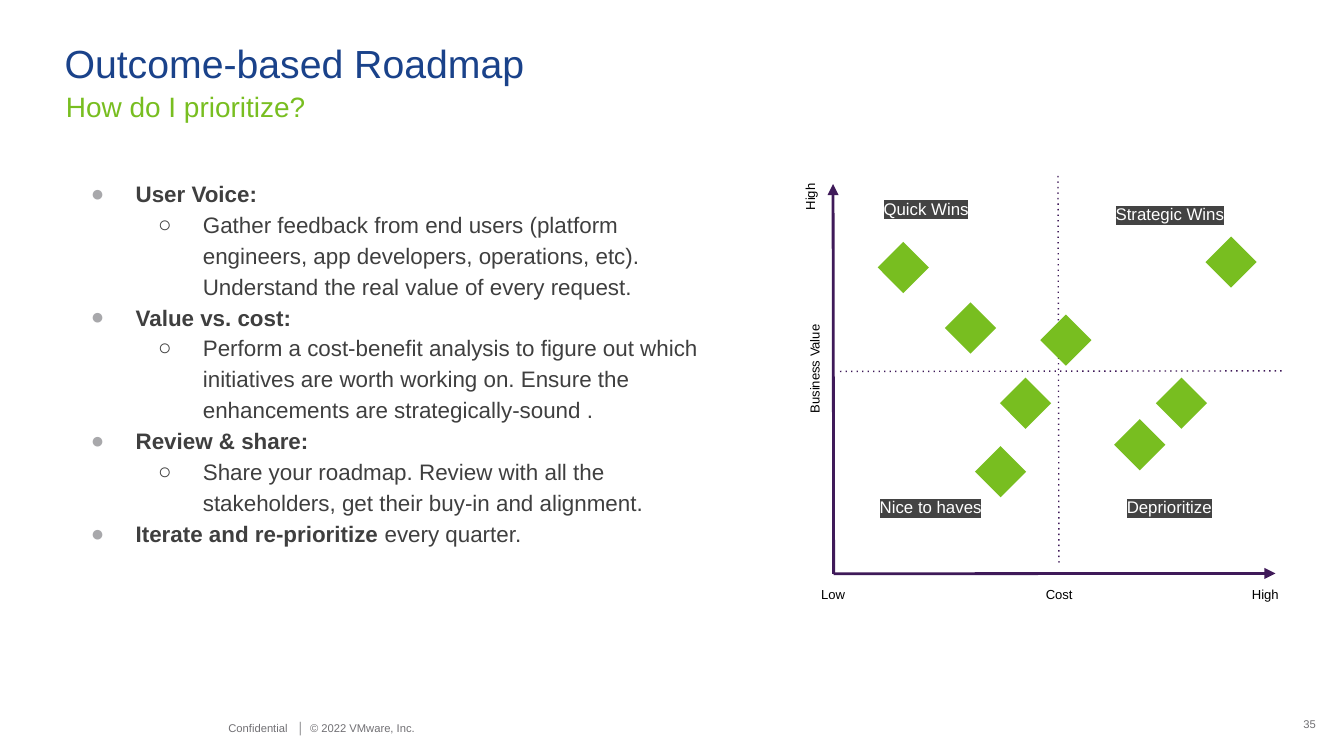
from dataclasses import dataclass

from lxml.etree import SubElement
from pptx import Presentation
from pptx.dml.color import RGBColor
from pptx.enum.shapes import MSO_CONNECTOR, MSO_SHAPE
from pptx.enum.text import MSO_ANCHOR, MSO_AUTO_SIZE, PP_ALIGN
from pptx.oxml.ns import qn
from pptx.util import Pt


@dataclass(frozen=True)
class Theme:
    """Fonts, colours and type sizes."""
    font: str = "Arial"
    blue: str = "1A428A"
    green: str = "78BE20"
    purple: str = "3F1A59"
    text: str = "3F3F3F"
    bullet: str = "A8A8AB"
    footer: str = "717074"
    tag: str = "434343"
    black: str = "000000"
    white: str = "FFFFFF"
    title_size: float = 21
    subtitle_size: float = 15
    body_size: float = 12
    tag_size: float = 9
    axis_size: float = 7
    footer_size: float = 6


THEME = Theme()

OUTLINE = [
    ("User Voice:", "",
     "Gather feedback from end users (platform engineers, app developers, operations, etc). "
     "Understand the real value of every request."),
    ("Value vs. cost:", "",
     "Perform a cost-benefit analysis to figure out which initiatives are worth working on. "
     "Ensure the enhancements are strategically-sound ."),
    ("Review & share:", "",
     "Share your roadmap. Review with all the stakeholders, get their buy-in and alignment."),
    ("Iterate and re-prioritize", " every quarter.", ""),
]

DIAMONDS = [(470.2, 129.6), (506.2, 162), (557.3, 168.5), (535.7, 202.3),
            (522.3, 239), (596.9, 224.6), (619.2, 202.3), (645.8, 126.7)]

AXIS_LABELS = [("High", 660.2, 307.4, 35.3, 21.6, 0),
               ("Low", 429.8, 307.4, 33.1, 21.6, 0),
               ("Cost", 517, 307.4, 100.8, 21.6, 0),
               ("High", 416.2, 95.8, 35.3, 19.4, 270),
               ("Business Value", 398.9, 187.9, 74.9, 19.4, 270)]

QUADRANTS = [("Quick Wins", 470.2, 102.2, 51.8), ("Strategic Wins", 591.8, 105.1, 69.8),
             ("Deprioritize", 600.5, 262.1, 51.8), ("Nice to haves", 463.7, 262.1, 69.8)]


def add_run(p, text, size, color, bold=False, highlight=None):
    """Append formatted text to a paragraph."""
    r = p.add_run()
    r.text = text
    r.font.size = Pt(size)
    r.font.bold = bold
    r.font.color.rgb = RGBColor.from_string(color)
    if highlight:
        mark = SubElement(r.font._element, qn("a:highlight"))
        SubElement(mark, qn("a:srgbClr"), val=highlight)
    r.font.name = THEME.font
    return r


class Deck:
    """Holds the theme and the current slide and adds elements to it."""

    def __init__(self, prs, theme):
        """Start a title-only slide."""
        self.theme = theme
        self.s = prs.slides.add_slide(prs.slide_layouts[5])

    def frame(self, sp, anchor, inset):
        """Set up a text frame and return it."""
        tf = sp.text_frame
        tf.word_wrap = True
        tf.auto_size = MSO_AUTO_SIZE.NONE
        tf.vertical_anchor = anchor
        tf.margin_left = tf.margin_right = Pt(inset[0])
        tf.margin_top = tf.margin_bottom = Pt(inset[1])
        return tf

    def title(self, text, x, y, w, h):
        """Fill and place the title placeholder."""
        sp = self.s.shapes.title
        sp.left, sp.top, sp.width, sp.height = Pt(x), Pt(y), Pt(w), Pt(h)
        p = self.frame(sp, MSO_ANCHOR.BOTTOM, (0, 0)).paragraphs[0]
        p.alignment = PP_ALIGN.LEFT
        p.line_spacing = 0.9
        add_run(p, text, self.theme.title_size, self.theme.blue)

    def box(self, x, y, w, h, anchor=MSO_ANCHOR.MIDDLE, inset=(0, 0), rotation=0):
        """Add an empty text box and return its frame."""
        sp = self.s.shapes.add_textbox(Pt(x), Pt(y), Pt(w), Pt(h))
        sp.rotation = rotation
        return self.frame(sp, anchor, inset)

    def label(self, text, x, y, w, h, size, color, align=PP_ALIGN.LEFT,
              highlight=None, tabs=(), **kwargs):
        """Add a one-paragraph text box."""
        p = self.box(x, y, w, h, **kwargs).paragraphs[0]
        p.alignment = align
        if tabs:
            stops = SubElement(p._p.get_or_add_pPr(), qn("a:tabLst"))
            for stop in tabs:
                SubElement(stops, qn("a:tab"), pos=str(Pt(stop)), algn="l")
        add_run(p, text, size, color, highlight=highlight)

    def bullet(self, p, level, char, color):
        """Give a paragraph its bullet, indent and line spacing."""
        p.level = level
        p.line_spacing = 1.15
        pPr = p._p.get_or_add_pPr()
        pPr.set("marL", str(Pt(36 * (level + 1))))
        pPr.set("indent", str(Pt(-24)))
        SubElement(SubElement(pPr, qn("a:buClr")), qn("a:srgbClr"), val=color)
        SubElement(pPr, qn("a:buFont"), typeface=self.theme.font)
        SubElement(pPr, qn("a:buChar"), char=char)

    def outline(self, items, x, y, w, h):
        """Add a two-level bulleted list."""
        t = self.theme
        tf = self.box(x, y, w, h, anchor=MSO_ANCHOR.TOP)
        for i, (head, rest, detail) in enumerate(items):
            p = tf.add_paragraph() if i else tf.paragraphs[0]
            self.bullet(p, 0, "●", t.bullet)
            add_run(p, head, t.body_size, t.text, bold=True)
            if rest:
                add_run(p, rest, t.body_size, t.text)
            if detail:
                p = tf.add_paragraph()
                self.bullet(p, 1, "○", t.text)
                add_run(p, detail, t.body_size, t.text)

    def line(self, x1, y1, x2, y2, width, dotted=False, arrow=False):
        """Add a straight line, dotted or with an arrowhead at its end."""
        cx = self.s.shapes.add_connector(MSO_CONNECTOR.STRAIGHT, Pt(x1), Pt(y1), Pt(x2), Pt(y2))
        cx.line.width = Pt(width)
        cx.line.color.rgb = RGBColor.from_string(self.theme.purple)
        ln = cx.line._get_or_add_ln()
        if dotted:
            SubElement(ln, qn("a:prstDash"), val="dot")
        if arrow:
            SubElement(ln, qn("a:tailEnd"), type="triangle")
        SubElement(cx._element.spPr, qn("a:effectLst"))

    def diamond(self, x, y, size):
        """Add a filled diamond."""
        sp = self.s.shapes.add_shape(MSO_SHAPE.DIAMOND, Pt(x), Pt(y), Pt(size), Pt(size))
        sp.shadow.inherit = False
        sp.fill.solid()
        sp.fill.fore_color.rgb = RGBColor.from_string(self.theme.green)
        sp.line.fill.background()


def main():
    """Build the slide and save it."""
    prs = Presentation()
    prs.slide_width, prs.slide_height = Pt(720), Pt(405)
    t = THEME
    deck = Deck(prs, t)
    deck.title("Outcome-based Roadmap", 34.6, 24.5, 650, 22.3)
    deck.label("How do I prioritize?", 35.3, 48.2, 648.7, 14.4, t.subtitle_size, t.green,
               anchor=MSO_ANCHOR.TOP)
    deck.outline(OUTLINE, 36.7, 94.3, 350.6, 270)

    deck.line(450, 199, 687.6, 198.7, 0.75, dotted=True)
    deck.line(566.8, 94.3, 567.3, 303.1, 0.75, dotted=True)
    deck.line(446.6, 307.4, 446.3, 98.6, 1.5, arrow=True)
    deck.line(446.6, 307.4, 683.3, 307.2, 1.5, arrow=True)
    for text, x, y, w, h, rotation in AXIS_LABELS:
        deck.label(text, x, y, w, h, t.axis_size, t.black, align=PP_ALIGN.CENTER,
                   inset=(7.2, 7.2), rotation=rotation)
    for x, y in DIAMONDS:
        deck.diamond(x, y, 27.4)
    for text, x, y, w in QUADRANTS:
        deck.label(text, x, y, w, 19.4, t.tag_size, t.white, align=PP_ALIGN.CENTER,
                   highlight=t.tag, inset=(0, 3.6))

    deck.label("Confidential\t│\t© 2022 VMware, Inc.", 122.4, 384.5, 124.6, 10.8,
               t.footer_size, t.footer, tabs=(36.9, 43.7))
    deck.label("35", 679, 377.3, 25.9, 21.6, t.footer_size, t.footer, align=PP_ALIGN.RIGHT)
    prs.save("out.pptx")


if __name__ == "__main__":
    main()
